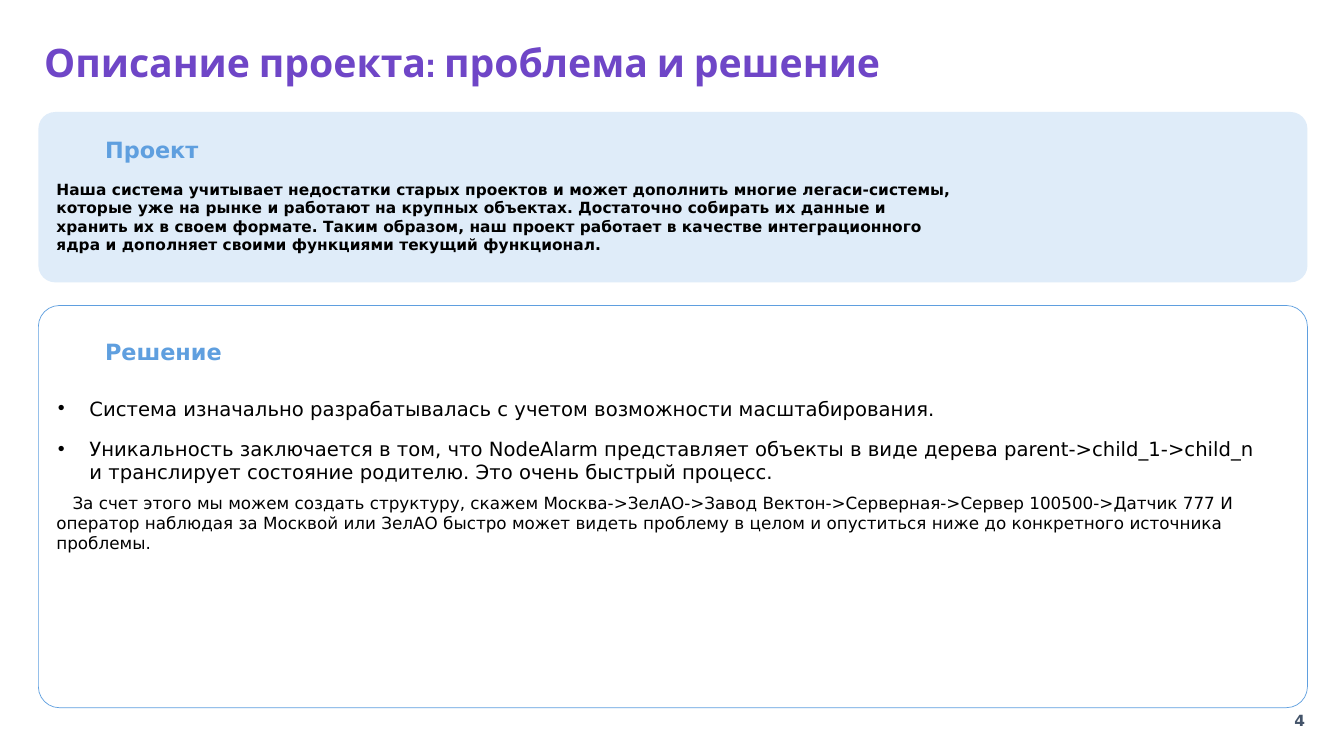
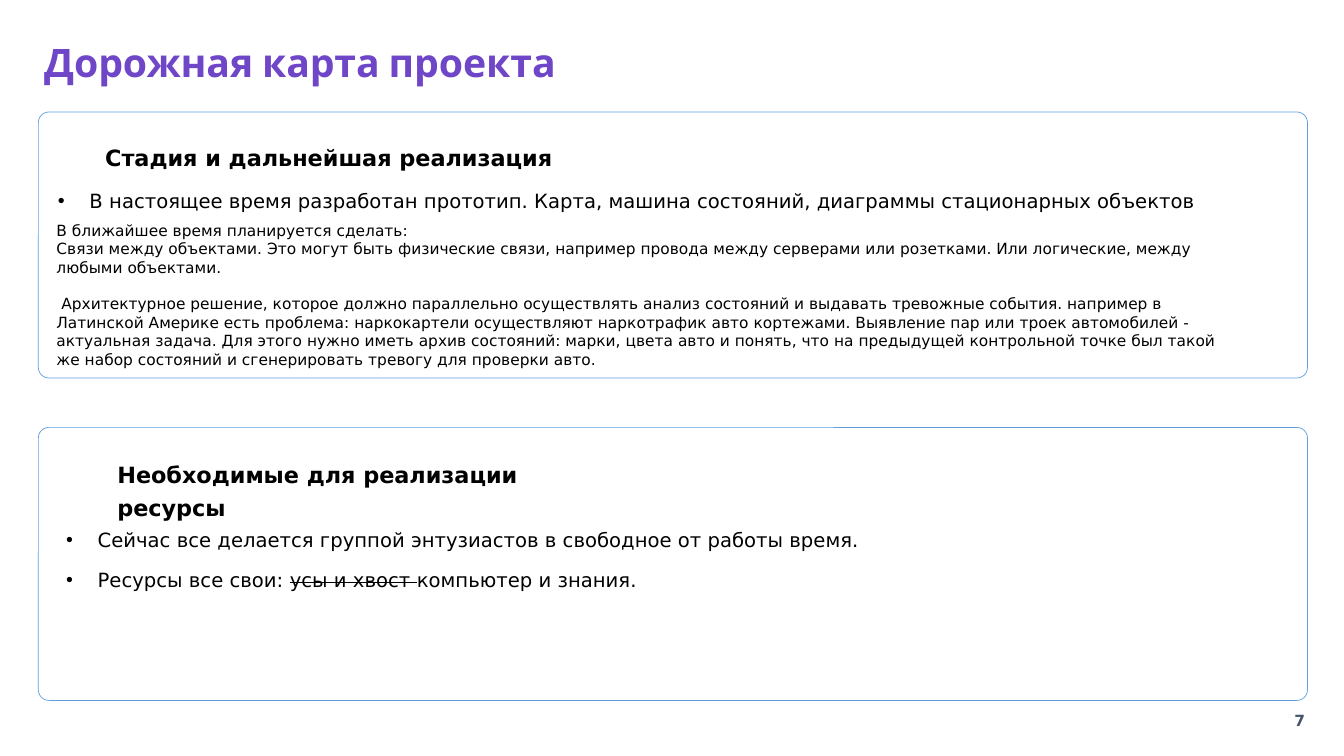
from dataclasses import dataclass
from typing import Optional

import lxml.etree
import pptx
import pptx.dml.color
import pptx.enum.shapes
import pptx.enum.text
import pptx.oxml.ns
import pptx.slide
import pptx.text.text
import pptx.util

Pt = pptx.util.Pt
qn = pptx.oxml.ns.qn


@dataclass(frozen=True)
class Theme:
    title_font: str = "Cabin"
    body_font: str = "DejaVu Sans"
    title_color: str = "6F46C7"
    accent: str = "5F9FDF"
    tint: str = "DFECF9"
    white: str = "FFFFFF"
    black: str = "000000"
    number_color: str = "44546A"
    title_size: float = 28
    heading_size: float = 16
    bullet_size: float = 14
    note_size: float = 12
    small_size: float = 11
    panel_opacity: int = 60000


THEME = Theme()


@dataclass(frozen=True)
class Box:
    left: float
    top: float
    width: float
    height: float


@dataclass(frozen=True)
class Run:
    text: str
    strike: bool = False


@dataclass(frozen=True)
class Style:
    size: float
    color: str = THEME.black
    bold: bool = False
    font: str = THEME.body_font
    margin: float = 0
    indent: float = 0
    before: float = 0
    after: float = 0
    line_spacing: Optional[float] = None
    bullet: bool = False
    centered: bool = False


@dataclass(frozen=True)
class Line:
    runs: tuple[Run, ...]
    style: Style


@dataclass(frozen=True)
class Panel:
    top: float
    height: float
    radius: float
    tinted: bool = False


@dataclass(frozen=True)
class TextBlock:
    box: Box
    lines: tuple[Line, ...]


@dataclass(frozen=True)
class Page:
    title: str
    number: str
    panels: tuple[Panel, ...]
    blocks: tuple[TextBlock, ...]


# Shared places and text styles
PANEL_LEFT, PANEL_WIDTH = 27.4, 906.5
TITLE_BOX = Box(24.5, 27.4, 799.2, 32.4)
NUMBER_BOX = Box(906.5, 500.4, 43.9, 28.8)

TITLE = Style(THEME.title_size, THEME.title_color, True, THEME.title_font,
              line_spacing=0.9)
NUMBER = Style(THEME.small_size, THEME.number_color, True, centered=True)
BULLET = Style(THEME.bullet_size, margin=23.6, indent=-22.5, before=6, after=6,
               bullet=True)
SUMMARY = Style(THEME.small_size, bold=True)
SMALL = Style(THEME.small_size)
SMALL_SPACED = Style(THEME.small_size, indent=3.5, before=13)
NOTE = Style(THEME.note_size, indent=11.5)


def line(text: str, style: Style) -> Line:
    return Line((Run(text),), style)


def heading(text: str, box: Box, color: str) -> TextBlock:
    style = Style(THEME.heading_size, color, True, margin=2.4, line_spacing=1.25)
    return TextBlock(box, (line(text, style),))


# Slide contents
PAGES = (
    Page(
        "Описание проекта: проблема и решение", "4",
        (Panel(218.2, 287.3, 15), Panel(80, 121.7, 12, tinted=True)),
        (
            heading("Проект", Box(72.7, 91.4, 116, 22.3), THEME.accent),
            TextBlock(Box(40.3, 127.4, 648, 54), (
                line("Наша система учитывает недостатки старых проектов и может "
                     "дополнить многие легаси-системы, которые уже на рынке и "
                     "работают на крупных объектах. Достаточно собирать их данные "
                     "и хранить их в своем формате. Таким образом, наш проект "
                     "работает в качестве интеграционного ядра и дополняет своими "
                     "функциями текущий функционал.", SUMMARY),
            )),
            heading("Решение", Box(72.7, 235.4, 221, 22.3), THEME.accent),
            TextBlock(Box(40.3, 282.2, 866.2, 136.8), (
                line("Система изначально разрабатывалась с учетом возможности "
                     "масштабирования.", BULLET),
                line("Уникальность заключается в том, что NodeAlarm представляет "
                     "объекты в виде дерева parent->child_1->child_n и "
                     "транслирует состояние родителю. Это очень быстрый процесс.",
                     BULLET),
                line("За счет этого мы можем создать структуру, скажем "
                     "Москва->ЗелАО->Завод Вектон->Серверная->Сервер "
                     "100500->Датчик 777 И оператор наблюдая за Москвой или ЗелАО "
                     "быстро может видеть проблему в целом и опуститься ниже до "
                     "конкретного источника проблемы.", NOTE),
            )),
        ),
    ),
    Page(
        "Дорожная карта проекта", "7",
        (Panel(305.3, 195, 7.5), Panel(80, 190, 7.5)),
        (
            heading("Стадия и дальнейшая реализация",
                    Box(72.7, 97.2, 339, 22.3), THEME.black),
            TextBlock(Box(40.3, 133.9, 836.6, 130.3), (
                line("В настоящее время разработан прототип. Карта, машина "
                     "состояний, диаграммы стационарных объектов", BULLET),
                line("В ближайшее время планируется сделать:", SMALL),
                line("Связи между объектами. Это могут быть физические связи, "
                     "например провода между серверами или розетками. Или "
                     "логические, между любыми объектами.", SMALL),
                line("Архитектурное решение, которое должно параллельно "
                     "осуществлять анализ состояний и выдавать тревожные события. "
                     "например в Латинской Америке есть проблема: наркокартели "
                     "осуществляют наркотрафик авто кортежами. Выявление пар или "
                     "троек автомобилей - актуальная задача. Для этого нужно "
                     "иметь архив состояний: марки, цвета авто и понять, что на "
                     "предыдущей контрольной точке был такой же набор состояний "
                     "и сгенерировать тревогу для проверки авто.", SMALL_SPACED),
            )),
            heading("Необходимые для реализации ресурсы",
                    Box(81.4, 323.3, 339, 46.8), THEME.black),
            TextBlock(Box(46.1, 375.8, 851, 46.8), (
                line("Сейчас все делается группой энтузиастов в свободное от "
                     "работы время.", BULLET),
                Line((Run("Ресурсы все свои: "), Run("усы и хвост ", strike=True),
                      Run("компьютер и знания.")), BULLET),
            )),
        ),
    ),
)


def rgb(color: str) -> pptx.dml.color.RGBColor:
    return pptx.dml.color.RGBColor.from_string(color)


def fill_paragraph(paragraph: pptx.text.text._Paragraph, content: Line,
                   first: bool) -> None:
    style = content.style
    properties = paragraph._p.get_or_add_pPr()
    properties.set("marL", str(int(Pt(style.margin))))
    properties.set("indent", str(int(Pt(style.indent))))
    if style.bullet:
        bullet_font = lxml.etree.SubElement(properties, qn("a:buFont"))
        bullet_font.set("typeface", "Arial")
        lxml.etree.SubElement(properties, qn("a:buChar")).set("char", "•")
    if style.before and not first:
        paragraph.space_before = Pt(style.before)
    if style.after:
        paragraph.space_after = Pt(style.after)
    if style.line_spacing:
        paragraph.line_spacing = style.line_spacing
    if style.centered:
        paragraph.alignment = pptx.enum.text.PP_ALIGN.CENTER
    for part in content.runs:
        run = paragraph.add_run()
        run.text = part.text
        run.font.name = style.font
        run.font.size = Pt(style.size)
        run.font.bold = style.bold
        run.font.color.rgb = rgb(style.color)
        if part.strike:
            run._r.get_or_add_rPr().set("strike", "sngStrike")


def add_text(slide: pptx.slide.Slide, block: TextBlock, inset: bool = False,
             middle: bool = False) -> None:
    box = block.box
    shape = slide.shapes.add_textbox(Pt(box.left), Pt(box.top),
                                     Pt(box.width), Pt(box.height))
    frame = shape.text_frame
    frame.word_wrap = True
    if not inset:
        frame.margin_left = frame.margin_right = frame.margin_bottom = 0
        frame.margin_top = Pt(1)
    if middle:
        frame.vertical_anchor = pptx.enum.text.MSO_ANCHOR.MIDDLE
    for index, content in enumerate(block.lines):
        paragraph = frame.add_paragraph() if index else frame.paragraphs[0]
        fill_paragraph(paragraph, content, first=index == 0)


def add_panel(slide: pptx.slide.Slide, panel: Panel) -> None:
    shape = slide.shapes.add_shape(
        pptx.enum.shapes.MSO_SHAPE.ROUNDED_RECTANGLE,
        Pt(PANEL_LEFT), Pt(panel.top), Pt(PANEL_WIDTH), Pt(panel.height))
    shape.adjustments[0] = panel.radius / panel.height
    shape.shadow.inherit = False
    shape.fill.solid()
    shape.fill.fore_color.rgb = rgb(THEME.tint if panel.tinted else THEME.white)
    if panel.tinted:
        shape.line.fill.background()
        return
    shape.line.color.rgb = rgb(THEME.accent)
    shape.line.width = Pt(0.5)
    color = shape._element.spPr.find(qn("a:solidFill")).find(qn("a:srgbClr"))
    alpha = lxml.etree.SubElement(color, qn("a:alpha"))
    alpha.set("val", str(THEME.panel_opacity))


def add_page(presentation, page: Page) -> None:
    slide = presentation.slides.add_slide(presentation.slide_layouts[6])
    for panel in page.panels:
        add_panel(slide, panel)
    # Title, body and page number
    add_text(slide, TextBlock(TITLE_BOX, (line(page.title, TITLE),)), inset=True)
    for block in page.blocks:
        add_text(slide, block)
    add_text(slide, TextBlock(NUMBER_BOX, (line(page.number, NUMBER),)),
             inset=True, middle=True)


def main() -> None:
    presentation = pptx.Presentation()
    presentation.slide_width = Pt(960)
    presentation.slide_height = Pt(540)
    for page in PAGES:
        add_page(presentation, page)
    presentation.save("out.pptx")


if __name__ == "__main__":
    main()
